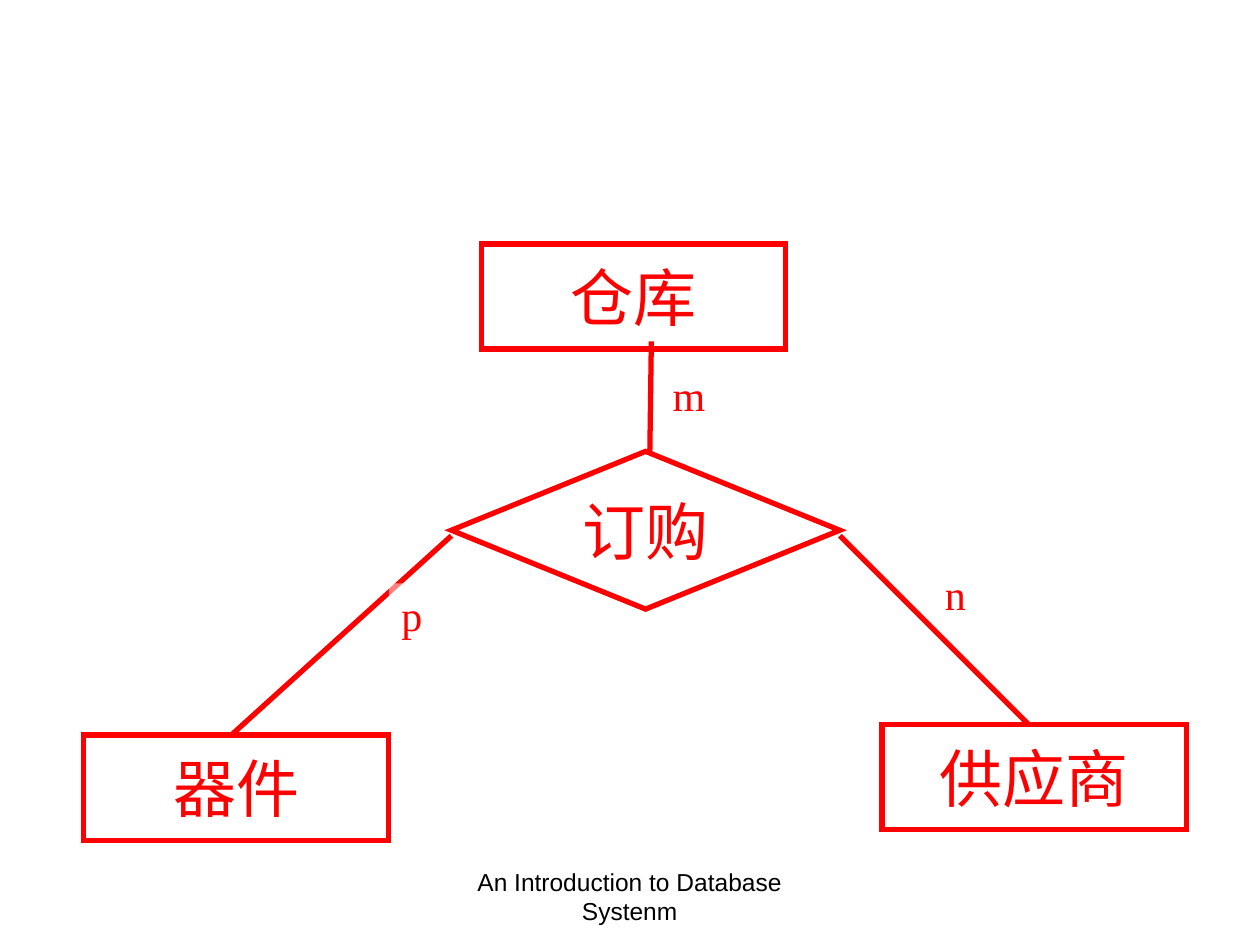
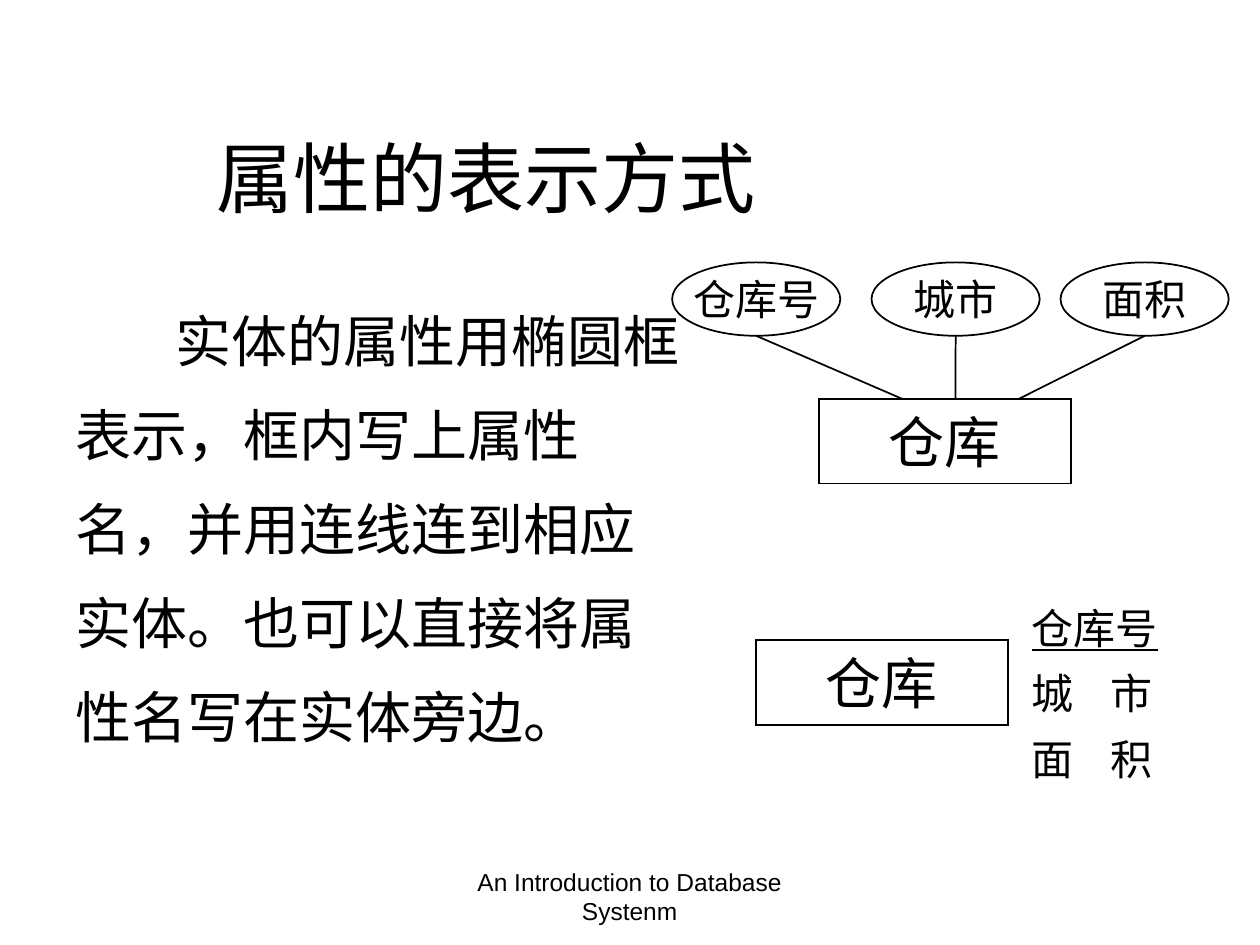
from lxml.etree import SubElement
from pptx import Presentation
from pptx.dml.color import RGBColor
from pptx.enum.shapes import MSO_CONNECTOR as LINE, MSO_SHAPE as SHAPE
from pptx.enum.text import MSO_ANCHOR as ANCHOR, MSO_AUTO_SIZE as AUTO, PP_ALIGN as ALIGN
from pptx.oxml.ns import qn
from pptx.util import Cm, Pt

RED, BLACK, WHITE = "FF0000", "000000", "FFFFFF"
SERIF, SANS = "Times New Roman", "Arial"


def paint(target, color):
    target.rgb = RGBColor.from_string(color)


def style(para, size, color=BLACK, font=SERIF, align=ALIGN.LEFT):
    para.alignment = align
    para.font.size = Pt(size)
    para.font.name = font
    paint(para.font.color, color)


def veil(shape):
    """Fill a shape with half-transparent white."""
    shape.fill.solid()
    paint(shape.fill.fore_color, WHITE)
    tint = shape.fill._xPr.find(qn("a:solidFill"))[0]
    SubElement(tint, qn("a:alpha"), val="50000")


def node(slide, kind, text, x, y, w, h, size, color, width):
    """Outlined shape with sharp corners and a centred name."""
    shape = slide.shapes.add_shape(kind, Cm(x), Cm(y), Cm(w), Cm(h))
    shape.shadow.inherit = False
    shape.fill.background()
    paint(shape.line.color, color)
    shape.line.width = Pt(width)
    SubElement(shape.line._get_or_add_ln(), qn("a:miter"), lim="800000")
    frame = shape.text_frame
    frame.word_wrap = False
    frame.vertical_anchor = ANCHOR.MIDDLE
    frame.text = text
    style(frame.paragraphs[0], size, color, align=ALIGN.CENTER)
    return shape


def link(slide, color, width, x1, y1, x2, y2):
    line = slide.shapes.add_connector(LINE.STRAIGHT, Cm(x1), Cm(y1), Cm(x2), Cm(y2))
    paint(line.line.color, color)
    line.line.width = Pt(width)
    SubElement(line._element.spPr, qn("a:effectLst"))


def note(slide, text, x, y, w, h, wrap=True):
    box = slide.shapes.add_textbox(Cm(x), Cm(y), Cm(w), Cm(h))
    box.text_frame.word_wrap = wrap
    box.text_frame.text = text
    return box


def label(slide, text, x, y, w):
    box = note(slide, text, x, y, w, 1.27, wrap=False)
    veil(box)
    style(box.text_frame.paragraphs[0], 24, RED)


def footer(slide):
    box = note(slide, "An Introduction to Database Systenm", 8.67, 17.35, 8.05, 1.32)
    style(box.text_frame.paragraphs[0], 14, font=SANS, align=ALIGN.CENTER)


def title(slide, text):
    head = slide.shapes.title
    head.left, head.top, head.width, head.height = Cm(1.7), Cm(2.72), Cm(16.21), Cm(1.91)
    frame = head.text_frame
    frame.auto_size = AUTO.NONE
    frame.vertical_anchor = ANCHOR.BOTTOM
    frame.text = text
    style(frame.paragraphs[0], 44, font=SANS, align=ALIGN.CENTER)


def entity(slide, text, x, y):
    node(slide, SHAPE.RECTANGLE, text, x, y, 5.08, 1.7, 32, BLACK, 1)


def order(deck):
    """Three entities joined by one relationship."""
    slide = deck.slides.add_slide(deck.slide_layouts[6])
    for text, x, y in (("仓库", 9.7, 4.92), ("器件", 1.69, 14.82), ("供应商", 17.78, 14.61)):
        node(slide, SHAPE.RECTANGLE, text, x, y, 6.14, 2.12, 36, RED, 3)
    buy = node(slide, SHAPE.FLOWCHART_DECISION, "订购", 9.1, 9.1, 7.83, 3.18, 36, RED, 3)
    veil(buy)
    for ends in ((13.1, 9.1, 13.13, 6.88), (9.1, 10.8, 4.66, 14.82),
                 (16.93, 10.8, 20.74, 14.61)):
        link(slide, RED, 3, *ends)
    for text, x, y, w in (("m", 13.31, 7.32, 1.17), ("n", 18.8, 11.33, 0.91),
                          ("p", 7.84, 11.76, 0.91)):
        label(slide, text, x, y, w)
    footer(slide)


def traits(deck):
    """Two ways to show the attributes of an entity."""
    slide = deck.slides.add_slide(deck.slide_layouts[5])
    title(slide, "属性的表示方式")
    body = note(slide, "实体的属性用椭圆框表示，框内写上属性名，并用连线连到相应实体。"
                "也可以直接将属性名写在实体旁边。", 1.27, 5.51, 12.75, 11.63)
    para = body.text_frame.paragraphs[0]
    para.line_spacing = 1.4
    props = para._p.get_or_add_pPr()
    props.set("indent", str(Cm(2.01)))
    props.set("hangingPunct", "0")
    style(para, 32)

    top = 8.05
    entity(slide, "仓库", 16.51, top)
    oval_w, oval_h, oval_y = 3.39, 1.48, 5.29
    for text, x, end in (("仓库号", 13.55, 18.21), ("城市", 17.57, 19.26),
                         ("面积", 21.38, 20.52)):
        node(slide, SHAPE.OVAL, text, x, oval_y, oval_w, oval_h, 24, BLACK, 1)
        link(slide, BLACK, 1, x + oval_w / 2, oval_y + oval_h, end, top)

    entity(slide, "仓库", 15.24, 12.91)
    names = note(slide, "仓库号\n城\t市\n面\t积", 20.55, 11.71, 3.05, 4.22, wrap=False)
    for para in names.text_frame.paragraphs:
        para.line_spacing = 1.3
        tabs = SubElement(para._p.get_or_add_pPr(), qn("a:tabLst"))
        SubElement(tabs, qn("a:tab"), pos=str(Cm(1.59)), algn="l")
        style(para, 24)
    names.text_frame.paragraphs[0].font.underline = True
    footer(slide)


def main():
    deck = Presentation()
    deck.slide_width, deck.slide_height = Cm(25.4), Cm(19.05)
    order(deck)
    traits(deck)
    deck.save("out.pptx")


if __name__ == "__main__":
    main()
